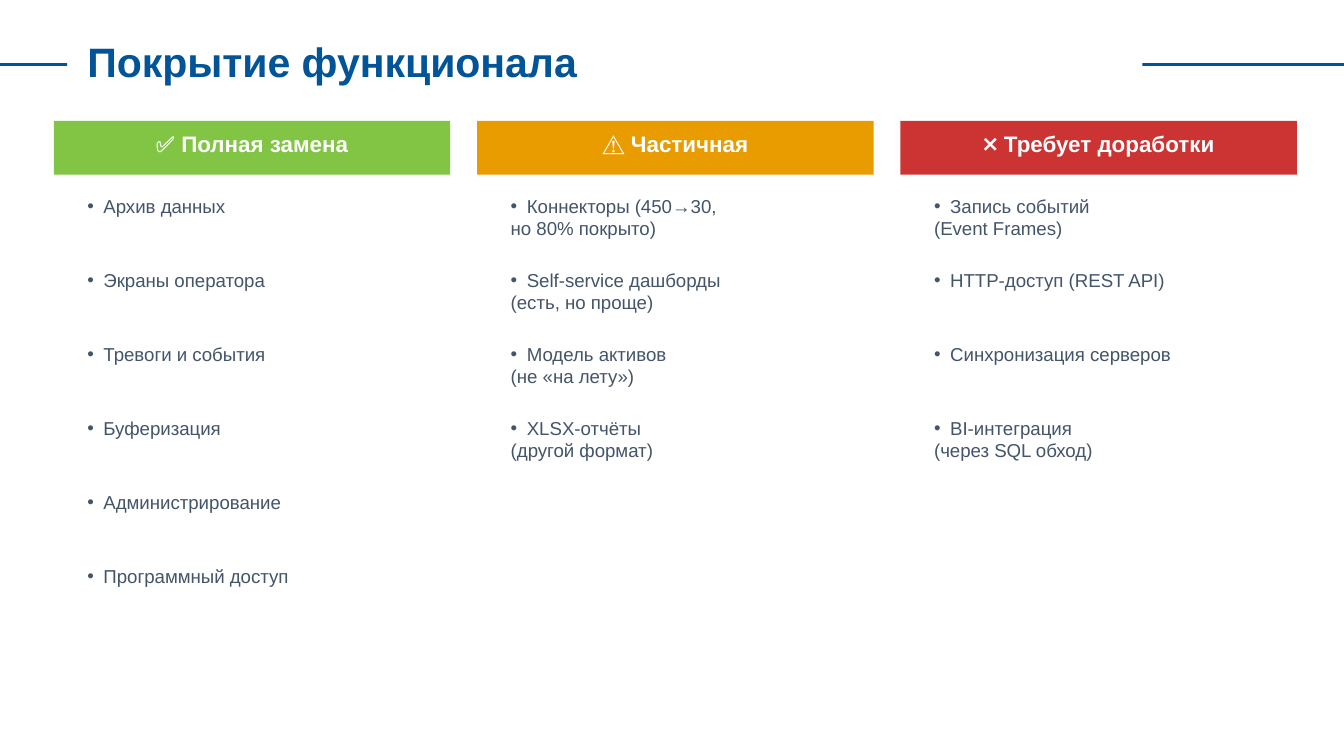
import lxml.etree
import pptx
import pptx.dml.color
import pptx.enum.shapes
import pptx.enum.text
import pptx.oxml.ns
import pptx.util

Inches = pptx.util.Inches
Pt = pptx.util.Pt

FONT = "Arial"
COLORS = {
    "blue": "005497",
    "green": "82C444",
    "orange": "E89C00",
    "red": "CC3333",
    "text": "445469",
    "white": "FFFFFF",
}
COLUMNS = [
    ("✅ Полная замена", "green", [
        ["Архив данных"],
        ["Экраны оператора"],
        ["Тревоги и события"],
        ["Буферизация"],
        ["Администрирование"],
        ["Программный доступ"],
    ]),
    ("⚠️ Частичная", "orange", [
        ["Коннекторы (450→30,", "но 80% покрыто)"],
        ["Self-service дашборды", "(есть, но проще)"],
        ["Модель активов", "(не «на лету»)"],
        ["XLSX-отчёты", "(другой формат)"],
    ]),
    ("❌ Требует доработки", "red", [
        ["Запись событий", "(Event Frames)"],
        ["HTTP-доступ (REST API)"],
        ["Синхронизация серверов"],
        ["BI-интеграция", "(через SQL обход)"],
    ]),
]
COLUMN_LEFT = 0.4
COLUMN_WIDTH = 2.95
COLUMN_STEP = 3.15
ITEM_PITCH = 39.6
LINE_HEIGHT = 12
BULLET_INDENT = 0.12


def rgb(color):
    return pptx.dml.color.RGBColor.from_string(COLORS[color])


def place(element, left, top, width, height):
    element.left, element.top = Inches(left), Inches(top)
    element.width, element.height = Inches(width), Inches(height)


def add_bar(slide, left, top, width, height, color):
    bar = slide.shapes.add_shape(
        pptx.enum.shapes.MSO_SHAPE.RECTANGLE,
        Inches(left), Inches(top), Inches(width), Inches(height))
    bar.shadow.inherit = False
    bar.fill.solid()
    bar.fill.fore_color.rgb = rgb(color)
    bar.line.fill.background()
    return bar


def add_run(paragraph, wording, size, color, bold=False):
    run = paragraph.add_run()
    run.text = wording
    run.font.name = FONT
    run.font.size = Pt(size)
    run.font.bold = bold
    run.font.color.rgb = rgb(color)


def prepare_frame(frame):
    frame.word_wrap = True
    frame.auto_size = pptx.enum.text.MSO_AUTO_SIZE.NONE
    frame.vertical_anchor = pptx.enum.text.MSO_ANCHOR.TOP


def set_title(title, wording):
    place(title, 0.55, 0.22, 8, 0.5)
    prepare_frame(title.text_frame)
    paragraph = title.text_frame.paragraphs[0]
    paragraph.alignment = pptx.enum.text.PP_ALIGN.LEFT
    add_run(paragraph, wording, 22, "blue", bold=True)


def add_heading(slide, left, wording, color):
    heading = add_bar(slide, left, 0.9, COLUMN_WIDTH, 0.4, color)
    prepare_frame(heading.text_frame)
    heading.text_frame.margin_top = Inches(0.07)
    paragraph = heading.text_frame.paragraphs[0]
    paragraph.alignment = pptx.enum.text.PP_ALIGN.CENTER
    add_run(paragraph, wording, 12, "white", bold=True)


def set_bullet(paragraph, bulleted):
    indent = Inches(BULLET_INDENT) if bulleted else 0
    properties = paragraph._p.get_or_add_pPr()
    properties.set("marL", str(indent))
    properties.set("indent", str(-indent))
    tag = "a:buChar" if bulleted else "a:buNone"
    bullet = lxml.etree.SubElement(properties, pptx.oxml.ns.qn(tag))
    if bulleted:
        bullet.set("char", "•")


def fill_list(body, left, items):
    place(body, left, 1.4, 2.65, 3.25)
    frame = body.text_frame
    prepare_frame(frame)
    paragraph = None
    for item in items:
        for number, line in enumerate(item):
            paragraph = frame.add_paragraph() if paragraph else frame.paragraphs[0]
            set_bullet(paragraph, bulleted=number == 0)
            paragraph.line_spacing = Pt(LINE_HEIGHT)
            paragraph.space_before = Pt(0)
            paragraph.space_after = Pt(0)
            add_run(paragraph, line, 10, "text")
        paragraph.space_after = Pt(ITEM_PITCH - LINE_HEIGHT * len(item))


def main():
    presentation = pptx.Presentation()
    presentation.slide_width = Inches(10)
    presentation.slide_height = Inches(10) * 9 // 16
    slide = presentation.slides.add_slide(
        presentation.slide_layouts.get_by_name("Comparison"))
    title, *lists = slide.placeholders

    add_bar(slide, 0, 0.47, 0.5, 0.02, "blue")
    add_bar(slide, 8.5, 0.47, 1.5, 0.02, "blue")
    set_title(title, "Покрытие функционала")

    for index, (heading, color, items) in enumerate(COLUMNS):
        left = COLUMN_LEFT + index * COLUMN_STEP
        add_heading(slide, left, heading, color)
        fill_list(lists[index], left + 0.15, items)
    for unused in lists[len(COLUMNS):]:
        unused.element.getparent().remove(unused.element)

    presentation.save("out.pptx")


if __name__ == "__main__":
    main()
